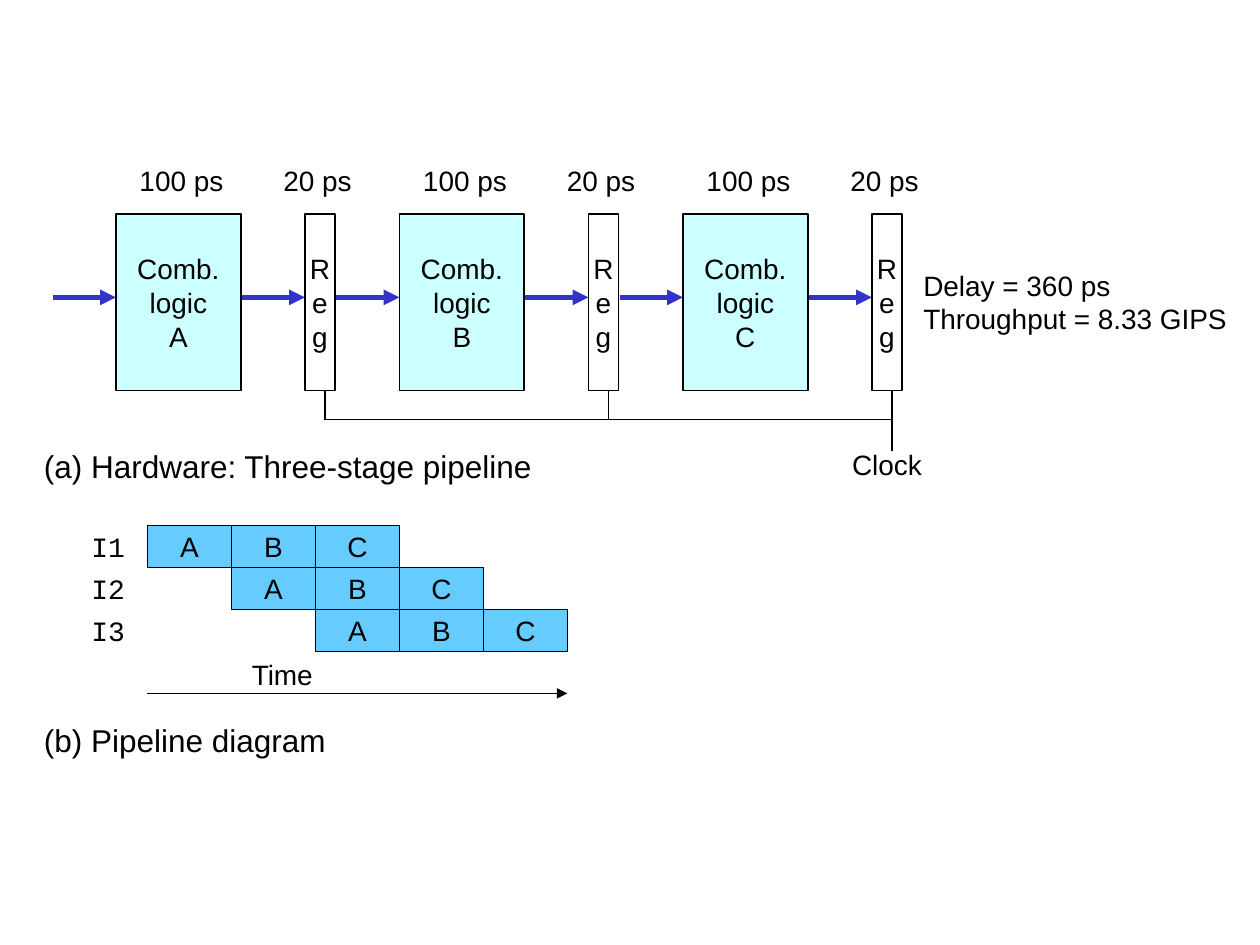
from lxml import etree
from pptx import Presentation
from pptx import util as u
from pptx.dml.color import RGBColor
from pptx.enum import shapes, text
from pptx.oxml.ns import qn

BLACK, WHITE, BLUE = "000000", "FFFFFF", "3333CC"
LOGIC, STAGE = "CCFFFF", "66CCFF"
LEFT, CENTER, RIGHT = text.PP_ALIGN.LEFT, text.PP_ALIGN.CENTER, text.PP_ALIGN.RIGHT


def color(hex_value):
    return RGBColor.from_string(hex_value)


def write(sp, lines, align=LEFT, size=16, font="Arial"):
    tf = sp.text_frame
    tf.word_wrap = False
    for i, line in enumerate(lines):
        p = tf.paragraphs[0] if i == 0 else tf.add_paragraph()
        p.alignment = align
        r = p.add_run()
        r.text = line
        r.font.size, r.font.name = u.Pt(size), font
        r.font.color.rgb = color(BLACK)
    return tf


def add_label(parent, box, lines, align=LEFT, size=16):
    sp = parent.add_textbox(*map(u.Inches, box))
    write(sp, lines, align, size)


def add_centered(parent, center, top, label):
    """One-line label with room to spare on both sides of its centre."""
    width = 1
    add_label(parent, (center - width / 2, top, width, 0.36), [label], CENTER)


def add_box(parent, box, lines, fill, width=None, align=CENTER, font="Arial"):
    sp = parent.add_shape(shapes.MSO_SHAPE.RECTANGLE, *map(u.Inches, box))
    sp.shadow.inherit = False
    sp.fill.solid()
    sp.fill.fore_color.rgb = color(fill)
    if width:
        sp.line.color.rgb = color(BLACK)
        sp.line.width = u.Pt(width)
    else:
        sp.line.fill.background()
    write(sp, lines, align, font=font).vertical_anchor = text.MSO_ANCHOR.MIDDLE


def add_line(parent, x1, y1, x2, y2, hex_value=BLACK, width=1, arrow=False):
    line = parent.add_connector(shapes.MSO_CONNECTOR.STRAIGHT,
                                *map(u.Inches, (x1, y1, x2, y2)))
    line.line.color.rgb = color(hex_value)
    line.line.width = u.Pt(width)
    if arrow:
        ln = line._element.spPr.find(qn("a:ln"))
        etree.SubElement(ln, qn("a:tailEnd"), type="triangle")
    etree.SubElement(line._element.spPr, qn("a:effectLst"))


def add_hardware(parent, x, y, pitch, height):
    """Row of logic blocks and registers, driven by one clock."""
    arrow_y, bus_y = y + 0.66, y + 1.63
    for i, name in enumerate("ABC"):
        left = x + i * pitch
        reg = left + 1.5
        add_line(parent, left - 0.5, arrow_y, left, arrow_y, BLUE, 3, True)
        add_line(parent, reg - 0.5, arrow_y, reg, arrow_y, BLUE, 3, True)
        add_box(parent, (left, y, 0.99, height), ["Comb.", "logic", name], LOGIC, 1)
        add_box(parent, (reg, y, 0.24, height), "Reg", WHITE, 1)
        add_centered(parent, left + 0.52, y - 0.45, "100 ps")
        add_centered(parent, reg + 0.1, y - 0.45, "20 ps")
        # Clock tap; the last one runs on to the label
        tap_end = bus_y + (0.25 if i == 2 else 0)
        add_line(parent, reg + 0.16, y + height, reg + 0.16, tap_end)
    first_tap = x + 1.66
    last_tap = first_tap + 2 * pitch
    add_line(parent, first_tap, bus_y, last_tap, bus_y)
    add_centered(parent, last_tap - 0.04, y + 1.8, "Clock")
    add_label(parent, (last_tap + 0.15, y + 0.38, 2.64, 0.64),
              ["Delay = 360 ps", "Throughput = 8.33 GIPS"])


def add_schedule(parent, x, y, col, row):
    """Staircase of instructions, each one column later than the last."""
    for i in range(3):
        top = y + i * row
        add_box(parent, (x - 1, top, 0.92, row), [f"I{i + 1}"], WHITE,
                align=RIGHT, font="Courier New")
        group = parent.add_group_shape()
        for j, name in enumerate("ABC"):
            add_box(group.shapes, (x + (i + j) * col, top, col, row), [name], STAGE, 0.75)
    # Time axis
    axis_y = y + 4 * row
    add_line(parent, x, axis_y, x + 5 * col, axis_y, arrow=True)
    add_label(parent, (x + 0.73, axis_y - row, 0.8, 0.36), ["Time"])


prs = Presentation()
prs.slide_width, prs.slide_height = u.Inches(10), u.Inches(7.5)
s = prs.slides.add_slide(prs.slide_layouts[6])

add_hardware(s.shapes, x=0.92, y=1.7, pitch=2.25, height=1.4)
add_schedule(s.shapes, x=1.17, y=4.17, col=2 / 3, row=1 / 3)

# Captions
add_label(s.shapes, (0.25, 3.5, 4.26, 0.4), ["(a) Hardware: Three-stage pipeline"], size=18)
add_label(s.shapes, (0.25, 5.67, 2.53, 0.4), ["(b) Pipeline diagram"], size=18)

prs.save("out.pptx")
